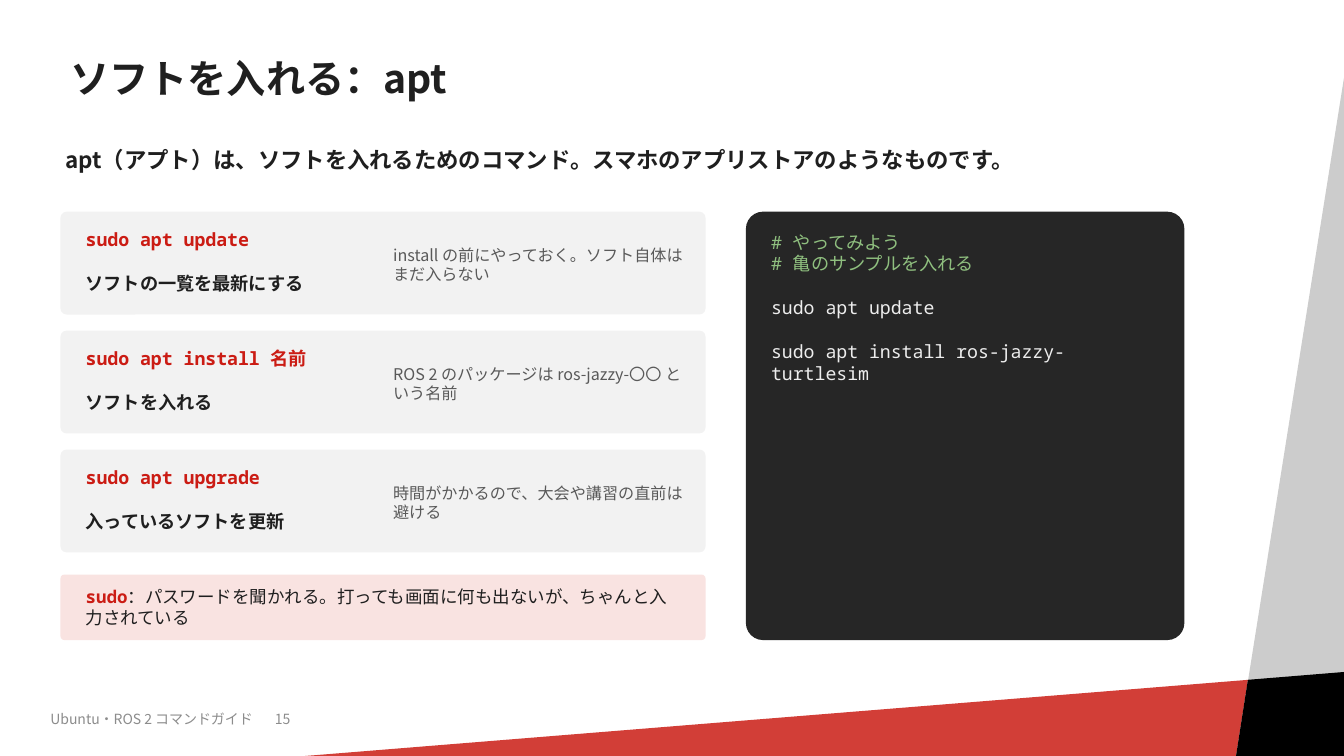
"""Build the slide that explains installing software with apt."""
from lxml import etree
from pptx import Presentation
from pptx import util as u
from pptx.dml.color import RGBColor
from pptx.enum import shapes, text
from pptx.oxml.ns import qn

SANS, MONO = "Noto Sans CJK JP", "Noto Sans Mono"
INK, RED, GREY, GREEN, PALE = "1F1F1F", "CB1C14", "595959", "8FBF7F", "EDEDED"

TITLE = "ソフトを入れる：apt"
LEAD = "apt（アプト）は、ソフトを入れるためのコマンド。スマホのアプリストアのようなものです。"
FOOTER = "Ubuntu・ROS 2 コマンドガイド\t15"
FOOTER_TAB = 160.4
COMMANDS = [
    ("sudo apt update", "ソフトの一覧を最新にする",
     "install の前にやっておく。ソフト自体はまだ入らない"),
    ("sudo apt install 名前", "ソフトを入れる",
     "ROS 2 のパッケージは ros-jazzy-〇〇 という名前"),
    ("sudo apt upgrade", "入っているソフトを更新",
     "時間がかかるので、大会や講習の直前は避ける"),
]
SUDO_NOTE = ("sudo", "：パスワードを聞かれる。打っても画面に何も出ないが、ちゃんと入力されている")
TERMINAL = [
    ("# やってみよう", GREEN, 0),
    ("# 亀のサンプルを入れる", GREEN, 0),
    ("sudo apt update", PALE, 15.7),
    ("sudo apt install ros-jazzy-turtlesim", PALE, 15.7),
]
DECORATION = [
    ("CCCCCC", [(960, 55.7), (960, 540), (882.9, 540)]),
    ("D23E37", [(217.9, 540), (891.4, 485.6), (882.9, 540)]),
    ("000000", [(891.4, 485.6), (960, 480), (960, 540), (882.9, 540)]),
]
CARD_LEFT, CARD_TOP, CARD_WIDTH, CARD_HEIGHT, CARD_PITCH = 43.2, 151.2, 460.8, 73.44, 84.96

deck = Presentation()
deck.slide_width, deck.slide_height = u.Pt(960), u.Pt(540)
page = deck.slides.add_slide(deck.slide_layouts[6])


def colour(value):
    return RGBColor.from_string(value)


def paint(shape, fill):
    shape.shadow.inherit = False
    shape.fill.solid()
    shape.fill.fore_color.rgb = colour(fill)
    shape.line.fill.background()


def add_panel(left, top, width, height, fill, rounding):
    panel = page.shapes.add_shape(shapes.MSO_SHAPE.ROUNDED_RECTANGLE,
                                  u.Pt(left), u.Pt(top), u.Pt(width), u.Pt(height))
    panel.adjustments[0] = rounding
    paint(panel, fill)
    return panel


def set_frame(frame, inset_x, inset_y, anchor):
    frame.word_wrap = True
    frame.vertical_anchor = anchor
    frame.margin_left = frame.margin_right = u.Pt(inset_x)
    frame.margin_top = frame.margin_bottom = u.Pt(inset_y)


def add_span(para, words, size, font, ink, bold=False):
    span = para.add_run()
    span.text = words
    span.font.size, span.font.name, span.font.bold = u.Pt(size), font, bold
    span.font.color.rgb = colour(ink)
    east_asian = etree.SubElement(span.font._element, qn("a:ea"))
    east_asian.set("typeface", font)


def add_text(left, top, width, height, spans, middle=False, inset_x=3.6):
    box = page.shapes.add_textbox(u.Pt(left), u.Pt(top), u.Pt(width), u.Pt(height))
    anchor = text.MSO_ANCHOR.MIDDLE if middle else text.MSO_ANCHOR.TOP
    set_frame(box.text_frame, inset_x, 3.6, anchor)
    para = box.text_frame.paragraphs[0]
    for span in spans:
        add_span(para, *span)
    return para


for fill, corners in DECORATION:
    points = [(u.Pt(x), u.Pt(y)) for x, y in corners]
    builder = page.shapes.build_freeform(*points[0])
    builder.add_line_segments(points[1:])
    paint(builder.convert_to_shape(), fill)

title = add_text(43.2, 25.2, 828, 64.8, [(TITLE, 28, SANS, INK, True)], True, 7.2)
title.line_spacing = 0.9
footer = add_text(32.4, 504, 288, 21.6, [(FOOTER, 10, SANS, "8C8C8C")])
stops = etree.SubElement(footer._p.get_or_add_pPr(), qn("a:tabLst"))
etree.SubElement(stops, qn("a:tab"), pos=str(u.Pt(FOOTER_TAB)), algn="l")
add_text(43.2, 100.8, 799.2, 36, [(LEAD, 16, SANS, INK, True)])

for index, (command, purpose, remark) in enumerate(COMMANDS):
    top = CARD_TOP + index * CARD_PITCH
    add_panel(CARD_LEFT, top, CARD_WIDTH, CARD_HEIGHT, "F2F2F2", 0.06)
    add_text(57.6, top + 8.64, 216, 32.4, [(command, 13, MONO, RED, True)])
    add_text(57.6, top + 39.6, 216, 28.8, [(purpose, 13, SANS, INK, True)])
    add_text(277.2, top + 7.2, 219.6, 61.2, [(remark, 11.5, SANS, GREY)], True)

add_panel(CARD_LEFT, 410.4, CARD_WIDTH, 46.8, "F9E3E1", 0.06)
add_text(57.6, 411.84, 432, 43.2, [(SUDO_NOTE[0], 12.5, MONO, RED, True),
                                   (SUDO_NOTE[1], 12.5, SANS, INK)], True)

terminal = add_panel(532.8, CARD_TOP, 313.2, 306, "262626", 0.04).text_frame
set_frame(terminal, 14.4, 10.08, text.MSO_ANCHOR.TOP)
for index, (line, ink, gap) in enumerate(TERMINAL):
    para = terminal.add_paragraph() if index else terminal.paragraphs[0]
    para.alignment = text.PP_ALIGN.LEFT
    if gap:
        para.space_before = u.Pt(gap)
    add_span(para, line, 13, MONO, ink)

deck.save("out.pptx")
